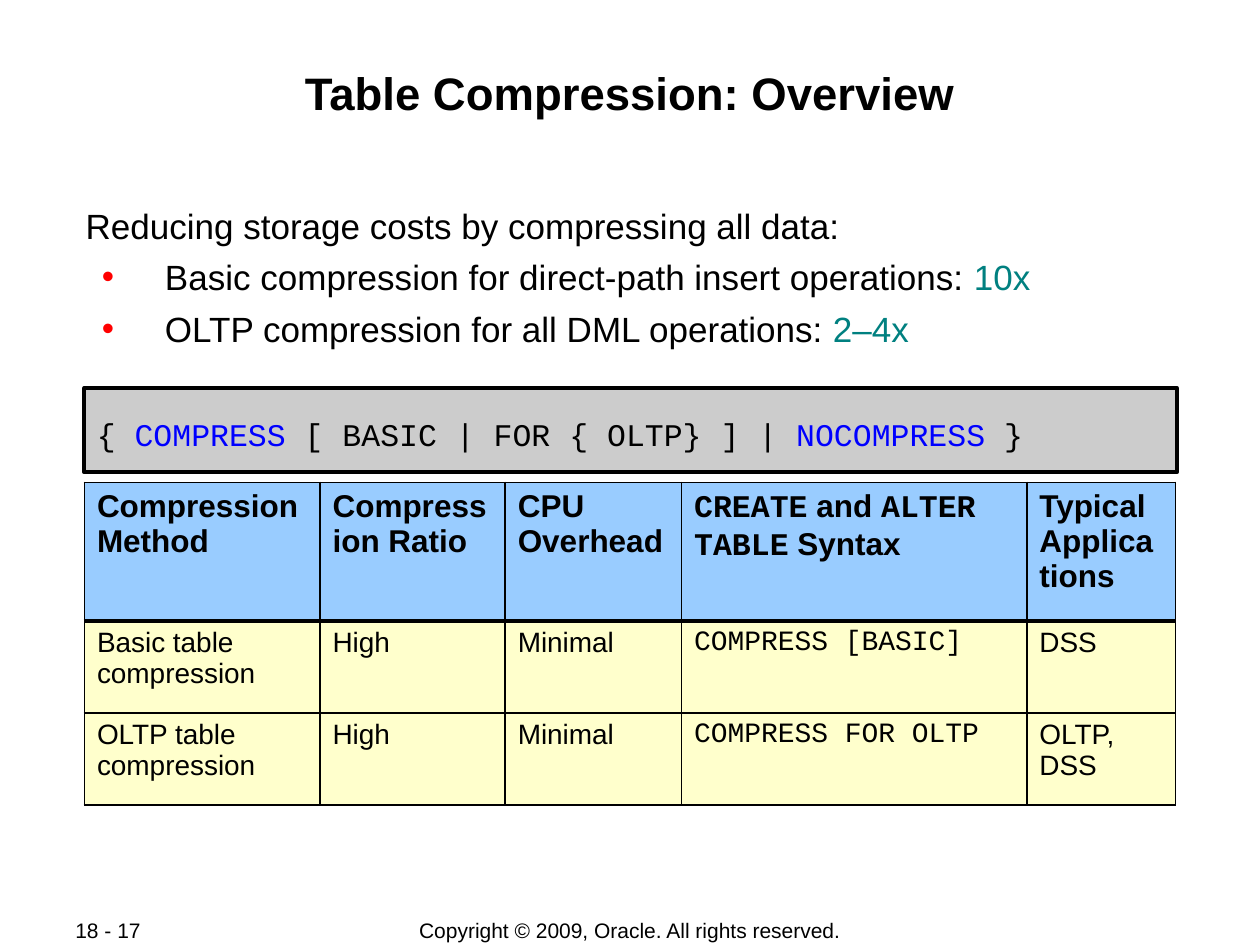
import pptx
import pptx.util
import pptx.dml.color
import pptx.enum.shapes
import pptx.enum.text
import pptx.oxml
import pptx.oxml.ns
from pptx.util import Inches

COLORS = {
    "black": "000000", "white": "FFFFFF", "bullet": "FF0000",
    "ratio": "008080", "keyword": "0000FF", "code": "CCCCCC",
    "header": "99CCFF", "row": "FFFFCC",
}
SANS, MONO = "Arial", "Courier New"
ALIGN = pptx.enum.text.PP_ALIGN
ANCHOR = pptx.enum.text.MSO_ANCHOR


def rgb(name):
    """Return the named colour."""
    return pptx.dml.color.RGBColor.from_string(COLORS[name])


def add_xml(parent, xml, index=None):
    """Insert a DrawingML fragment into a parent element."""
    namespace = pptx.oxml.ns.nsdecls("a")
    element = pptx.oxml.parse_xml(xml.replace(" ", f" {namespace} ", 1))
    parent.insert(len(parent) if index is None else index, element)


def write(paragraph, text, size=18, font=SANS, color="black", bold=False):
    """Append one formatted run to a paragraph."""
    run = paragraph.add_run()
    run.text = text
    run.font.size = pptx.util.Pt(size)
    run.font.name = font
    run.font.bold = bold
    run.font.color.rgb = rgb(color)


def set_frame(frame, margin_x, margin_y, anchor=ANCHOR.TOP):
    """Set wrapping, insets and anchor, and return the first paragraph."""
    frame.word_wrap = True
    frame.margin_left = frame.margin_right = Inches(margin_x)
    frame.margin_top = frame.margin_bottom = Inches(margin_y)
    frame.vertical_anchor = anchor
    return frame.paragraphs[0]


def add_line(slide, box, text, align, margins=(0.1, 0.05), anchor=ANCHOR.MIDDLE, **style):
    """Place a single line of text in a box."""
    textbox = slide.shapes.add_textbox(*map(Inches, box))
    paragraph = set_frame(textbox.text_frame, *margins, anchor)
    paragraph.alignment = align
    write(paragraph, text, **style)


def add_benefits(slide, box):
    """Place the lead sentence and its bulleted compression ratios."""
    frame = slide.shapes.add_textbox(*map(Inches, box)).text_frame
    write(set_frame(frame, 0.01, 0.04),
          "Reducing storage costs by compressing all data:", size=20)
    benefits = [
        ("Basic compression for direct-path insert operations: ", "10x"),
        ("OLTP compression for all DML operations: ", "2–4x"),
    ]
    for benefit, ratio in benefits:
        paragraph = frame.add_paragraph()
        paragraph.space_before = pptx.util.Pt(5.5)
        properties = paragraph._p.get_or_add_pPr()
        properties.set("marL", str(Inches(0.63)))
        properties.set("indent", str(Inches(-0.5)))
        add_xml(properties, f'<a:buClr ><a:srgbClr val="{COLORS["bullet"]}"/></a:buClr>')
        add_xml(properties, '<a:buFont typeface="Arial"/>')
        add_xml(properties, '<a:buChar char="•"/>')
        write(paragraph, benefit, size=20)
        write(paragraph, ratio, size=20, color="ratio")


def add_syntax(slide, box):
    """Place the framed compression clause."""
    panel = slide.shapes.add_shape(
        pptx.enum.shapes.MSO_SHAPE.RECTANGLE, *map(Inches, box))
    panel.shadow.inherit = False
    panel.fill.solid()
    panel.fill.fore_color.rgb = rgb("code")
    panel.line.color.rgb = rgb("black")
    panel.line.width = pptx.util.Pt(2.25)
    paragraph = set_frame(panel.text_frame, 0.1, 0.01, ANCHOR.MIDDLE)
    panel.text_frame.margin_top = Inches(0.07)
    paragraph.alignment = ALIGN.LEFT
    clause = [
        ("{ ", "black"), ("COMPRESS", "keyword"),
        (" [ BASIC | FOR { OLTP} ] | ", "black"),
        ("NOCOMPRESS ", "keyword"), ("}", "black"),
    ]
    for token, color in clause:
        write(paragraph, token, font=MONO, color=color)


def set_borders(cell, top, bottom):
    """Draw black borders with the given top and bottom widths."""
    widths = {"lnL": 1.08, "lnR": 1.08, "lnT": top, "lnB": bottom}
    for index, (side, width) in enumerate(widths.items()):
        add_xml(cell._tc.get_or_add_tcPr(),
                f'<a:{side} w="{pptx.util.Pt(width)}"><a:solidFill>'
                f'<a:srgbClr val="{COLORS["black"]}"/></a:solidFill></a:{side}>', index)


def add_methods(slide, box):
    """Place the table that compares compression methods."""
    syntax_heading = [("CREATE", MONO), (" and ", SANS),
                      ("ALTER TABLE", MONO), (" Syntax", SANS)]
    methods = [
        ["Compression Method", "Compression Ratio", "CPU Overhead",
         syntax_heading, "Typical Applications"],
        ["Basic table compression", "High", "Minimal",
         [("COMPRESS [BASIC]", MONO)], "DSS"],
        ["OLTP table compression", "High", "Minimal",
         [("COMPRESS FOR OLTP", MONO)], "OLTP, DSS"],
    ]
    widths, heights = [1.87, 1.47, 1.4, 2.74, 1.18], [1.1, 0.73, 0.73]
    table = slide.shapes.add_table(
        len(heights), len(widths), *map(Inches, box)).table
    table.horz_banding = False
    for column, width in zip(table.columns, widths):
        column.width = Inches(width)
    for row, height in zip(table.rows, heights):
        row.height = Inches(height)
    for i, method in enumerate(methods):
        heading = i == 0
        for j, content in enumerate(method):
            cell = table.cell(i, j)
            cell.fill.solid()
            cell.fill.fore_color.rgb = rgb("header" if heading else "row")
            set_borders(cell, top=2.21 if i == 1 else 1.08,
                        bottom=2.21 if heading else 1.08)
            cell.margin_left = cell.margin_right = Inches(0.1)
            cell.margin_top = cell.margin_bottom = Inches(0.05)
            parts = [(content, SANS)] if isinstance(content, str) else content
            for text, font in parts:
                write(cell.text_frame.paragraphs[0], text, font=font,
                      size=18 if heading else 16, bold=heading)


def add_footer(slide, box):
    """Place the page number and the centred copyright line."""
    left, top, width, height = box
    add_line(slide, (left, top, 1.06, height), "18 - 17", ALIGN.LEFT, size=12)
    add_line(slide, (left + (width - 4.5) / 2, top, 4.5, height),
             "Copyright © 2009, Oracle. All rights reserved.", ALIGN.CENTER, size=12)


def main():
    """Build and save the slide."""
    deck = pptx.Presentation()
    deck.slide_width, deck.slide_height = Inches(10), Inches(7.5)
    slide = deck.slides.add_slide(deck.slide_layouts[6])
    slide.background.fill.solid()
    slide.background.fill.fore_color.rgb = rgb("white")
    add_footer(slide, (0.5, 7.28, 9, 0.21))
    add_line(slide, (0.67, 0.48, 8.66, 0.96), "Table Compression: Overview",
             ALIGN.CENTER, margins=(0.01, 0.04), anchor=ANCHOR.TOP, size=26, bold=True)
    add_benefits(slide, (0.67, 1.58, 8.67, 1.17))
    add_syntax(slide, (0.67, 3.08, 8.67, 0.67))
    add_methods(slide, (0.67, 3.83, 8.66, 2.56))
    deck.save("out.pptx")


if __name__ == "__main__":
    main()
